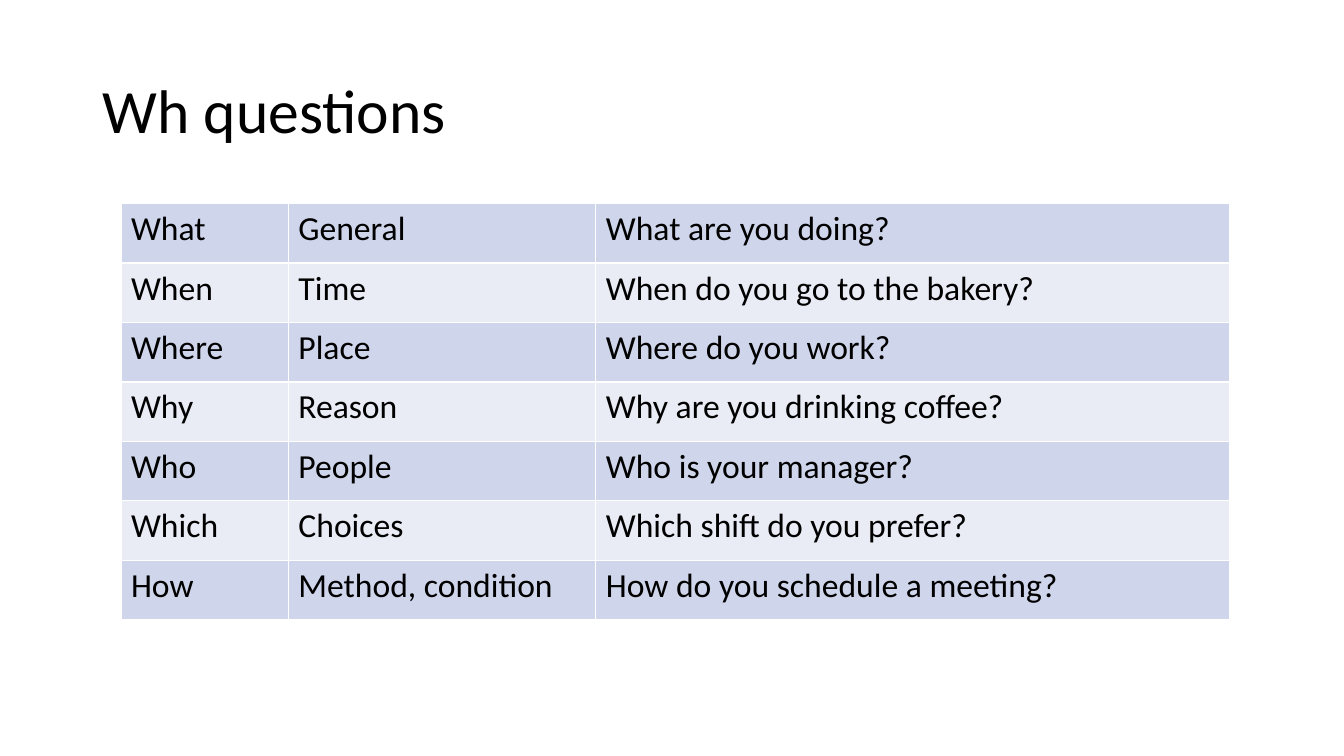
import dataclasses

import lxml.etree
import pptx
import pptx.dml.color
import pptx.enum.text
import pptx.oxml.ns
import pptx.util

EMU_PER_PX = 9144  # 100 px to the inch


@dataclasses.dataclass(frozen=True)
class Theme:
    font: str = "Calibri"
    ink: str = "000000"
    bands: tuple = ("CFD5EA", "E9EBF5")
    border: str = "FFFFFF"
    border_pt: int = 1
    title_pt: int = 44
    cell_pt: int = 24


THEME = Theme()

COLUMN_WIDTHS = (166, 305, 629)
ROW_HEIGHT = 59
QUESTIONS = (
    ("What", "General", "What are you doing?"),
    ("When", "Time", "When do you go to the bakery?"),
    ("Where", "Place", "Where do you work?"),
    ("Why", "Reason", "Why are you drinking coffee?"),
    ("Who", "People", "Who is your manager?"),
    ("Which", "Choices", "Which shift do you prefer?"),
    ("How", "Method, condition", "How do you schedule a meeting?"),
)


def px(length):
    return pptx.util.Emu(length * EMU_PER_PX)


def rgb(colour):
    return pptx.dml.color.RGBColor.from_string(colour)


def add_run(paragraph, wording, size):
    run = paragraph.add_run()
    run.text = wording
    run.font.name = THEME.font
    run.font.size = pptx.util.Pt(size)
    run.font.color.rgb = rgb(THEME.ink)


def set_title(slide, wording, left, top, width, height):
    title = slide.shapes.title
    title.left, title.top = px(left), px(top)
    title.width, title.height = px(width), px(height)
    frame = title.text_frame
    frame.word_wrap = True
    frame.auto_size = pptx.enum.text.MSO_AUTO_SIZE.NONE
    frame.vertical_anchor = pptx.enum.text.MSO_ANCHOR.MIDDLE
    heading = frame.paragraphs[0]
    heading.alignment = pptx.enum.text.PP_ALIGN.LEFT
    heading.line_spacing = 0.9
    add_run(heading, wording, THEME.title_pt)


def set_borders(cell):
    qn = pptx.oxml.ns.qn
    properties = cell._tc.get_or_add_tcPr()
    # Borders come before the fill in the cell properties
    for position, side in enumerate(("a:lnL", "a:lnR", "a:lnT", "a:lnB")):
        border = lxml.etree.Element(qn(side), w=str(pptx.util.Pt(THEME.border_pt)))
        fill = lxml.etree.SubElement(border, qn("a:solidFill"))
        lxml.etree.SubElement(fill, qn("a:srgbClr"), val=THEME.border)
        properties.insert(position, border)


def fill_cell(cell, wording, band):
    cell.fill.solid()
    cell.fill.fore_color.rgb = rgb(band)
    set_borders(cell)
    add_run(cell.text_frame.paragraphs[0], wording, THEME.cell_pt)


def add_question_table(slide, left, top):
    frame = slide.shapes.add_table(
        len(QUESTIONS), len(COLUMN_WIDTHS), px(left), px(top),
        px(sum(COLUMN_WIDTHS)), px(ROW_HEIGHT * len(QUESTIONS)))
    table = frame.table
    table.first_row = False
    for column, width in zip(table.columns, COLUMN_WIDTHS):
        column.width = px(width)
    for index, (row, question) in enumerate(zip(table.rows, QUESTIONS)):
        row.height = px(ROW_HEIGHT)
        band = THEME.bands[index % len(THEME.bands)]
        for cell, wording in zip(row.cells, question):
            fill_cell(cell, wording, band)


def main():
    deck = pptx.Presentation()
    deck.slide_width, deck.slide_height = px(1333), px(750)
    slide = deck.slides.add_slide(deck.slide_layouts.get_by_name("Title Only"))

    # Heading
    set_title(slide, "Wh questions", 92, 40, 1150, 145)

    # Question word, use and example
    add_question_table(slide, 120, 202)

    deck.save("out.pptx")


if __name__ == "__main__":
    main()
